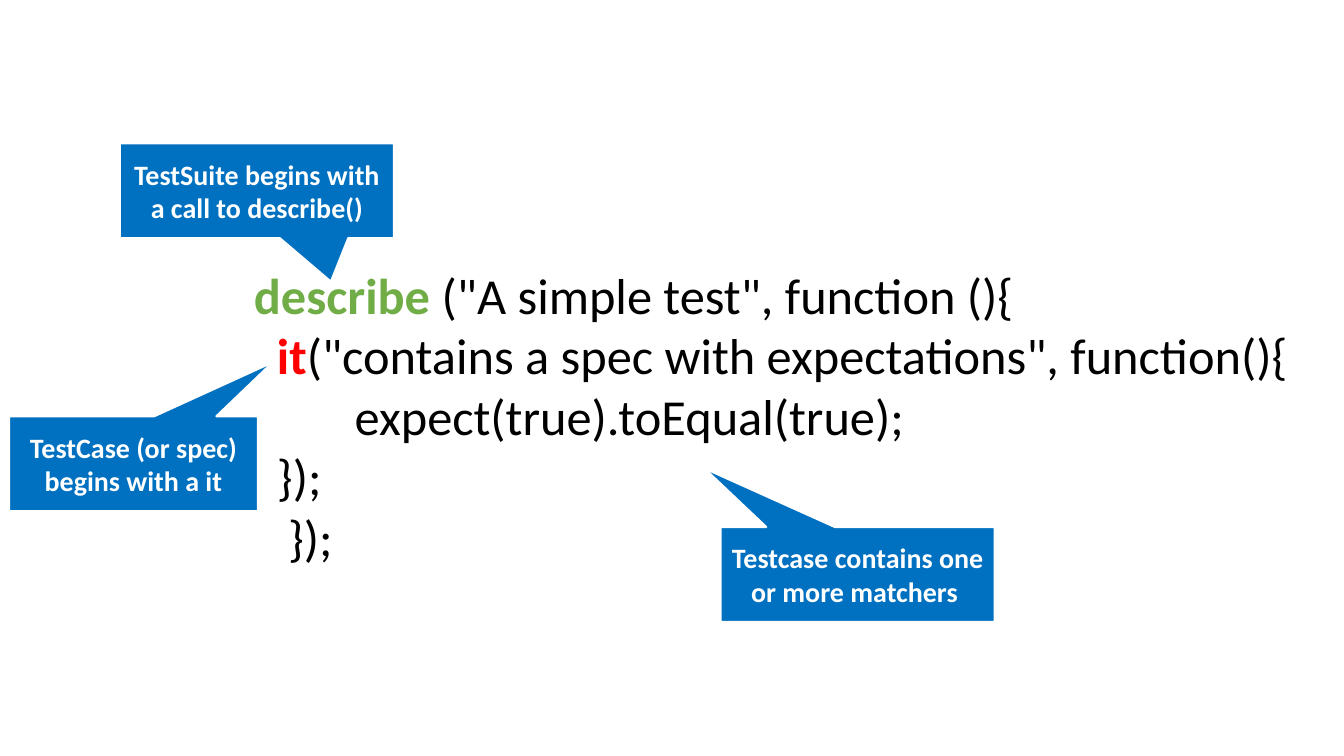
from pptx import Presentation
from pptx.dml.color import RGBColor
from pptx.enum.shapes import MSO_SHAPE
from pptx.enum.text import MSO_ANCHOR, MSO_AUTO_SIZE, PP_ALIGN
from pptx.util import Cm, Pt

COLORS = {
    "describe": "70AD47",
    "it": "FF0000",
    "code": "000000",
    "callout": "0070C0",
    "white": "FFFFFF",
}
FONT = "Calibri"

# Each line: indent in cm, then (text, colour name, bold) pieces
CODE_LINES = [
    (0, [("describe", "describe", True),
         (' ("A simple test", function (){', "code", False)]),
    (0.58, [("it", "it", True),
            ('("contains a spec with expectations", function(){', "code", False)]),
    (2.54, [("expect(true).toEqual(true);", "code", False)]),
    (0.58, [("});", "code", False)]),
    (0.86, [("});", "code", False)]),
]

# Each callout: text, box in cm, pointer tip as a share of the box from its centre
CALLOUTS = [
    ("TestSuite begins with a call to describe()",
     (3.02, 3.61, 6.91, 2.39), (0.27, 0.96)),
    ("TestCase (or spec) begins with a it",
     (0.23, 10.49, 6.27, 2.39), (0.56, -1.07)),
    ("Testcase contains one or more matchers ",
     (18.16, 13.28, 6.91, 2.39), (-0.56, -1.12)),
]


def rgb(name):
    return RGBColor.from_string(COLORS[name])


def format_run(run, size, color, bold):
    run.font.name = FONT
    run.font.size = Pt(size)
    run.font.bold = bold
    run.font.color.rgb = rgb(color)


def add_code(slide, box):
    code = slide.shapes.add_textbox(*map(Cm, box)).text_frame
    code.word_wrap = True
    code.auto_size = MSO_AUTO_SIZE.SHAPE_TO_FIT_TEXT
    for number, (indent, pieces) in enumerate(CODE_LINES):
        line = code.add_paragraph() if number else code.paragraphs[0]
        line_properties = line._p.get_or_add_pPr()
        line_properties.set("marL", str(Cm(indent)))
        line_properties.set("indent", "0")
        for text, color, bold in pieces:
            piece = line.add_run()
            piece.text = text
            format_run(piece, 36, color, bold)


def add_callout(slide, text, box, tip):
    callout = slide.shapes.add_shape(MSO_SHAPE.RECTANGULAR_CALLOUT, *map(Cm, box))
    callout.shadow.inherit = False
    callout.adjustments[0], callout.adjustments[1] = tip
    callout.fill.solid()
    callout.fill.fore_color.rgb = rgb("callout")
    callout.line.color.rgb = rgb("white")
    callout.line.width = Pt(1.5)
    label = callout.text_frame
    label.word_wrap = True
    label.vertical_anchor = MSO_ANCHOR.MIDDLE
    label.text = text
    label.paragraphs[0].alignment = PP_ALIGN.CENTER
    format_run(label.paragraphs[0].runs[0], 20, "white", True)


def main():
    presentation = Presentation()
    presentation.slide_width = Cm(33.87)
    presentation.slide_height = Cm(19.05)
    slide = presentation.slides.add_slide(presentation.slide_layouts[6])
    add_code(slide, (6.15, 6.53, 27.23, 7.95))
    for text, box, tip in CALLOUTS:
        add_callout(slide, text, box, tip)
    presentation.save("out.pptx")


if __name__ == "__main__":
    main()
